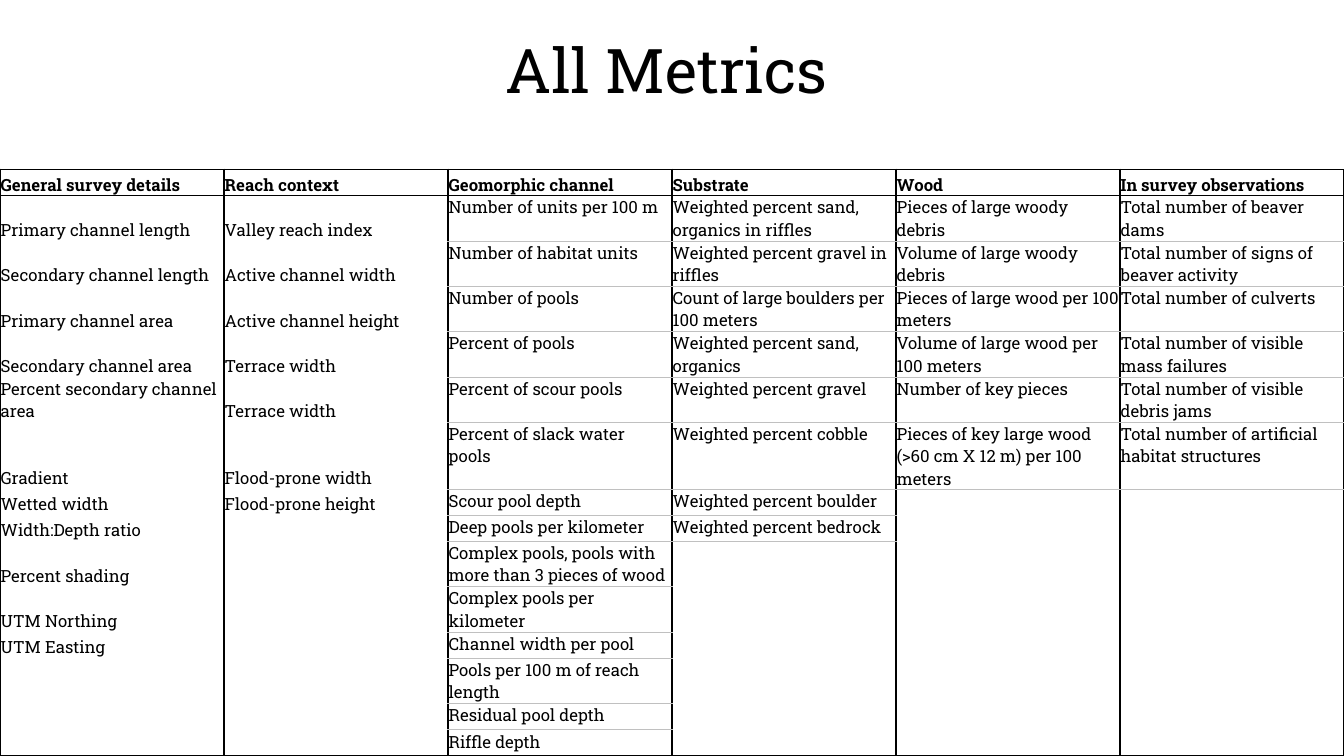
"""Build the All Metrics slide: a title above a six-column metric table."""
import itertools

import pptx
import pptx.dml.color
import pptx.enum.text
import pptx.oxml.ns
import pptx.util
from lxml import etree

SLIDE_WIDTH, SLIDE_HEIGHT = 13.33, 7.5
FONT = "Roboto Slab"
BLACK, GREY = "000000", "C0C0C0"
BODY_SIZE = 12
HEIGHT_BY_LINES = {1: 0.26, 2: 0.45, 3: 0.66}
LINES_PER_ROW = [1, 2, 2, 2, 2, 2, 3, 1, 1, 2, 2, 1, 2, 1, 1]
FIRST_RULED_COLUMN = 2

METRICS = {
    "General survey details": [
        "Primary channel length", "Secondary channel length",
        "Primary channel area", "Secondary channel area",
        "Percent secondary channel area", "Gradient", "Wetted width",
        "Width:Depth ratio", "Percent shading", "UTM Northing", "UTM Easting",
    ],
    "Reach context": [
        "Valley reach index", "Active channel width", "Active channel height",
        "Terrace width", "Terrace width", "Flood-prone width",
        "Flood-prone height",
    ],
    "Geomorphic channel": [
        "Number of units per 100 m", "Number of habitat units",
        "Number of pools", "Percent of pools", "Percent of scour pools",
        "Percent of slack water pools", "Scour pool depth",
        "Deep pools per kilometer",
        "Complex pools, pools with more than 3 pieces of wood",
        "Complex pools per kilometer", "Channel width per pool",
        "Pools per 100 m of reach length", "Residual pool depth",
        "Riffle depth",
    ],
    "Substrate": [
        "Weighted percent sand, organics in riffles",
        "Weighted percent gravel in riffles",
        "Count of large boulders per 100 meters",
        "Weighted percent sand, organics", "Weighted percent gravel",
        "Weighted percent cobble", "Weighted percent boulder",
        "Weighted percent bedrock",
    ],
    "Wood": [
        "Pieces of large woody debris", "Volume of large woody debris",
        "Pieces of large wood per 100 meters",
        "Volume of large wood per 100 meters", "Number of key pieces",
        "Pieces of key large wood (>60 cm X 12 m) per 100 meters",
    ],
    "In survey observations": [
        "Total number of beaver dams",
        "Total number of signs of beaver activity",
        "Total number of culverts", "Total number of visible mass failures",
        "Total number of visible debris jams",
        "Total number of artificial habitat structures",
    ],
}


def color(hex_string):
    """Turn a hex string into a colour."""
    return pptx.dml.color.RGBColor.from_string(hex_string)


def add_run(paragraph, text, size, bold=False):
    """Add one run of black text."""
    run = paragraph.add_run()
    run.text = text
    run.font.name = FONT
    run.font.size = pptx.util.Pt(size)
    run.font.bold = bold
    run.font.color.rgb = color(BLACK)


def add_title(slide, text):
    """Add the centred slide title."""
    title = slide.shapes.add_textbox(
        *(pptx.util.Inches(length) for length in (0.86, 0, 11.5, 1.45)))
    frame = title.text_frame
    frame.word_wrap = True
    frame.vertical_anchor = pptx.enum.text.MSO_ANCHOR.MIDDLE
    heading = frame.paragraphs[0]
    heading.alignment = pptx.enum.text.PP_ALIGN.CENTER
    heading.line_spacing = 0.9
    add_run(heading, text, 44)


def add_border(cell, side, line):
    """Draw one side of a cell, or clear it when line is None."""
    qn = pptx.oxml.ns.qn
    properties = cell._tc.get_or_add_tcPr()
    border = etree.SubElement(properties, qn(f"a:ln{side}"))
    if line is None:
        etree.SubElement(border, qn("a:noFill"))
        return
    hex_string, width = line
    border.set("w", str(pptx.util.Pt(width)))
    fill = etree.SubElement(border, qn("a:solidFill"))
    etree.SubElement(fill, qn("a:srgbClr"), val=hex_string)


def line_below(rows, row, column):
    """Return the colour and width of the line under a cell, if any."""
    if row <= 0 or row == len(rows) - 1:
        return BLACK, 1
    if column >= FIRST_RULED_COLUMN and rows[row][column]:
        return GREY, 0.5
    return None


def fill_cell(cell, text, header, anchor):
    """Set the margins and text of one cell."""
    cell.margin_left = cell.margin_right = cell.margin_top = pptx.util.Pt(0.5)
    cell.margin_bottom = 0
    cell.vertical_anchor = anchor
    paragraph = cell.text_frame.paragraphs[0]
    if text:
        add_run(paragraph, text, BODY_SIZE, header)
    else:
        etree.SubElement(paragraph._p, pptx.oxml.ns.qn("a:endParaRPr"),
                         sz=str(BODY_SIZE * 100))


def add_metric_table(slide, metrics):
    """Add the table with one column for each group of metrics."""
    rows = [tuple(metrics)]
    rows += itertools.zip_longest(*metrics.values(), fillvalue="")
    heights = [HEIGHT_BY_LINES[lines] for lines in LINES_PER_ROW]
    table = slide.shapes.add_table(
        len(rows), len(metrics), 0, pptx.util.Inches(1.68),
        pptx.util.Inches(SLIDE_WIDTH), pptx.util.Inches(sum(heights))).table
    table.first_row = table.horz_banding = False
    for table_row, height in zip(table.rows, heights):
        table_row.height = pptx.util.Inches(height)
    anchors = pptx.enum.text.MSO_ANCHOR
    for row, texts in enumerate(rows):
        for column, text in enumerate(texts):
            cell = table.cell(row, column)
            at_bottom = row == 0 or column < FIRST_RULED_COLUMN
            fill_cell(cell, text, row == 0,
                      anchors.BOTTOM if at_bottom else anchors.TOP)
            add_border(cell, "L", (BLACK, 1))
            add_border(cell, "R", (BLACK, 1))
            add_border(cell, "T", line_below(rows, row - 1, column))
            add_border(cell, "B", line_below(rows, row, column))
            cell.fill.background()


def main():
    """Build and save the slide."""
    deck = pptx.Presentation()
    deck.slide_width = pptx.util.Inches(SLIDE_WIDTH)
    deck.slide_height = pptx.util.Inches(SLIDE_HEIGHT)
    slide = deck.slides.add_slide(deck.slide_layouts[6])
    add_title(slide, "All Metrics")
    add_metric_table(slide, METRICS)
    deck.save("out.pptx")


if __name__ == "__main__":
    main()
